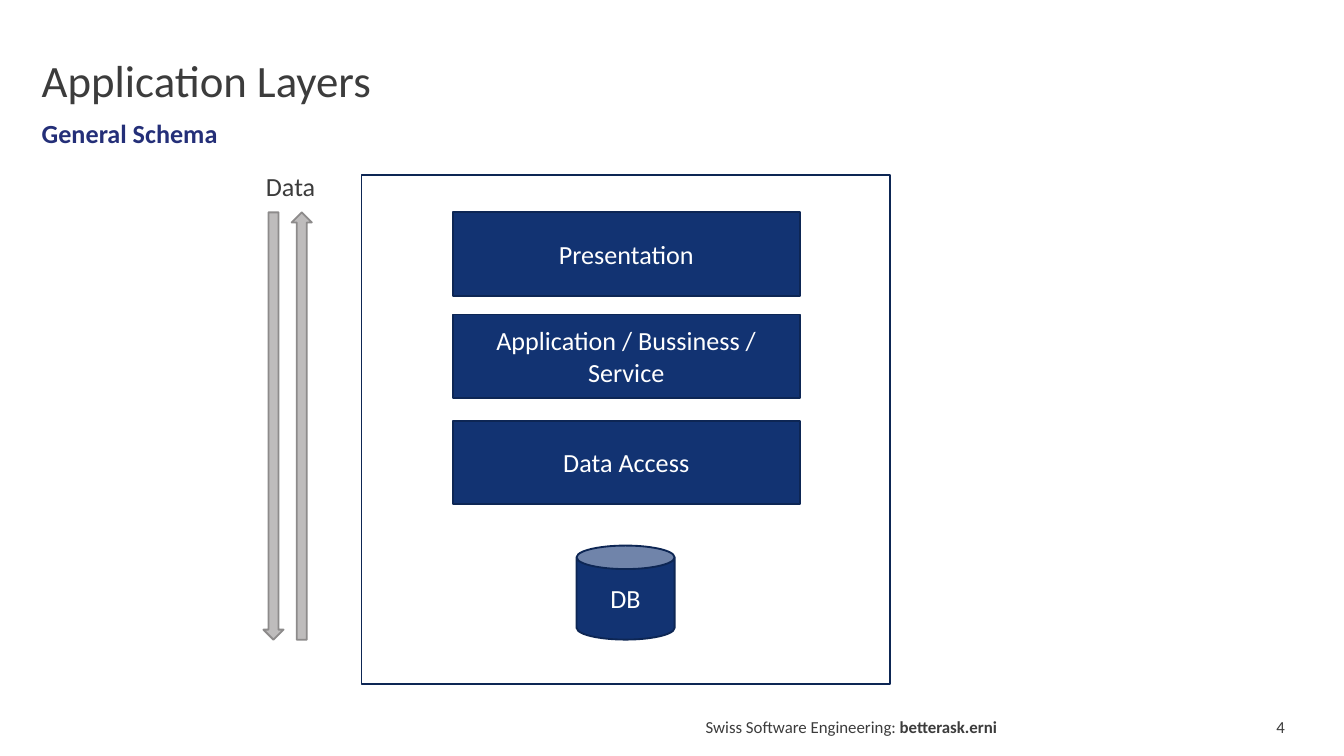
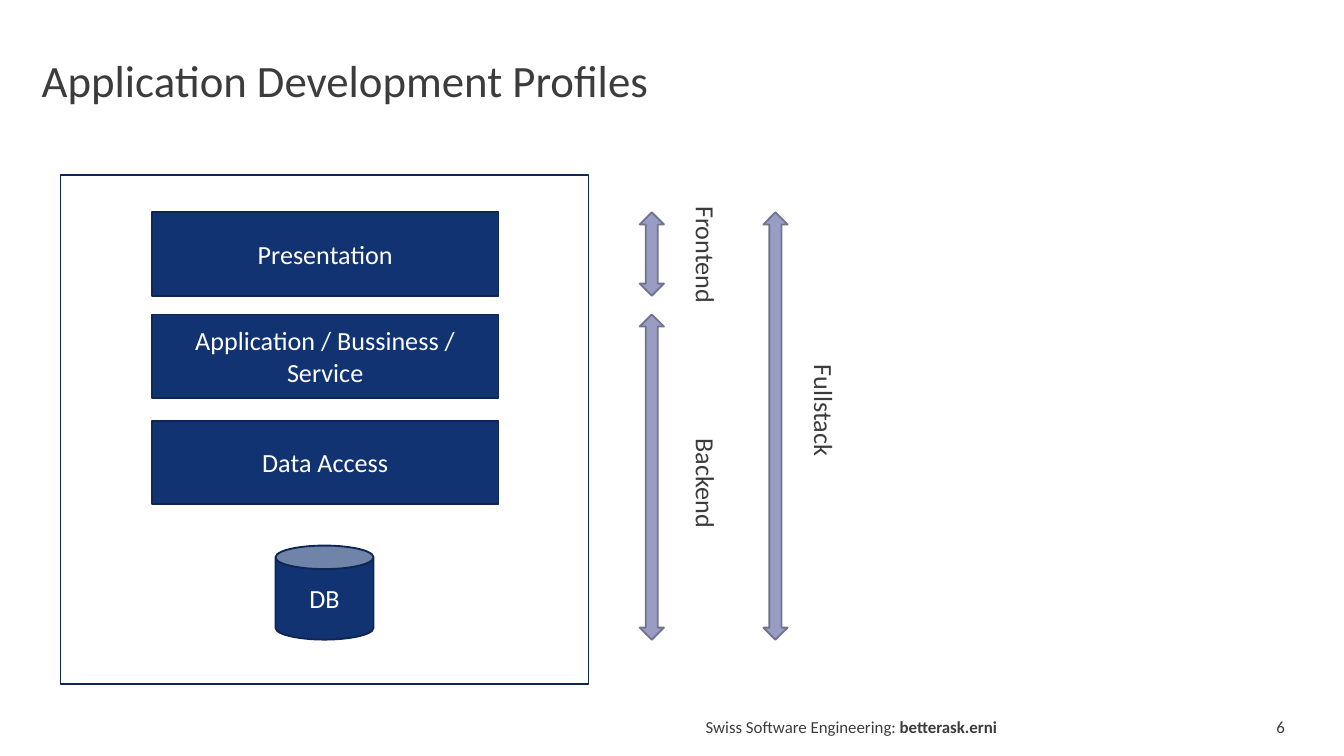
from pptx import Presentation
from pptx.dml.color import RGBColor
from pptx.enum.shapes import MSO_SHAPE
from pptx.enum.text import MSO_ANCHOR, MSO_AUTO_SIZE, PP_ALIGN
from pptx.util import Inches, Pt

RECT, CAN = MSO_SHAPE.RECTANGLE, MSO_SHAPE.CAN
DOWN, LEFT_RIGHT = MSO_SHAPE.DOWN_ARROW, MSO_SHAPE.LEFT_RIGHT_ARROW
LEFT, CENTER, RIGHT = PP_ALIGN.LEFT, PP_ALIGN.CENTER, PP_ALIGN.RIGHT
TOP, MIDDLE = MSO_ANCHOR.TOP, MSO_ANCHOR.MIDDLE
FIXED, GROW = MSO_AUTO_SIZE.NONE, MSO_AUTO_SIZE.SHAPE_TO_FIT_TEXT

FONT = "Calibri"
TEXT, ACCENT, WHITE = "3C3C3C", "242F78", "FFFFFF"
NAVY, NAVY_LINE = "123372", "0D2654"
GRAY, GRAY_LINE = "BEBCBC", "8D8B8B"
LILAC, LILAC_LINE = "999DC3", "717490"

SLIDE_W = 10
SLIDE_H = SLIDE_W * 9 / 16
TIGHT = (0.04, 0.02)
STACK_TOP, STACK_BOTTOM = 1.58, 4.76
LAYERS = [("Presentation", STACK_TOP),
          ("Application / Bussiness / Service", 2.34),
          ("Data Access", 3.13)]
LAYER_W, LAYER_H = 2.58, 0.62
FRAME_TOP, FRAME_W, FRAME_H = 1.3, 3.93, 3.79
ARROW_W = 0.18


def rgb(color):
    return RGBColor.from_string(color)


def inches(box):
    return [Inches(v) for v in box]


def write(sp, *runs, size=14, color=TEXT, bold=False, align=LEFT, anchor=MIDDLE,
          inset=(0.1, 0.05), spacing=None, wrap=True, fit=FIXED):
    """Fill a shape with one paragraph; each run is a text or a (text, bold) pair."""
    tf = sp.text_frame
    tf.auto_size = fit
    tf.word_wrap = wrap
    tf.vertical_anchor = anchor
    tf.margin_left = tf.margin_right = Inches(inset[0])
    tf.margin_top = tf.margin_bottom = Inches(inset[1])
    p = tf.paragraphs[0]
    p.alignment = align
    if spacing:
        p.line_spacing = spacing
    for run in runs:
        text, run_bold = (run, bold) if isinstance(run, str) else run
        r = p.add_run()
        r.text = text
        r.font.name, r.font.size, r.font.bold = FONT, Pt(size), run_bold
        r.font.color.rgb = rgb(color)


def add_text(slide, box, *runs, **fmt):
    sp = slide.shapes.add_textbox(*inches(box))
    write(sp, *runs, **fmt)
    return sp


def add_shape(slide, kind, box, fill, line, rotation=0):
    sp = slide.shapes.add_shape(kind, *inches(box))
    sp.shadow.inherit = False
    sp.rotation = rotation
    if fill:
        sp.fill.solid()
        sp.fill.fore_color.rgb = rgb(fill)
    else:
        sp.fill.background()
    sp.line.color.rgb = rgb(line)
    sp.line.width = Pt(1)
    return sp


def add_base(prs, title, number):
    """Add a slide with its title, footer and page number."""
    slide = prs.slides.add_slide(prs.slide_layouts[5])
    sp = slide.shapes.title
    sp.left, sp.top, sp.width, sp.height = inches((0.27, 0.46, 9.35, 0.32))
    write(sp, title, size=24, inset=TIGHT, spacing=0.9)
    add_text(slide, (5.21, 5.29, 2.29, 0.24), "Swiss Software Engineering: ",
             ("betterask.erni", True), size=9, inset=TIGHT)
    add_text(slide, (8.72, 5.28, 0.88, 0.25), str(number), size=9, align=RIGHT, inset=TIGHT)
    return slide


def add_layer_stack(slide, left):
    """Draw the framed layers above their database, from the frame's left edge."""
    add_shape(slide, RECT, (left, FRAME_TOP, FRAME_W, FRAME_H), None, NAVY_LINE)
    parts = [(RECT, name, (left + 0.68, top, LAYER_W, LAYER_H)) for name, top in LAYERS]
    parts.append((CAN, "DB", (left + 1.6, 4.06, 0.73, 0.7)))
    for kind, name, box in parts:
        sp = add_shape(slide, kind, box, NAVY, NAVY_LINE)
        write(sp, name, color=WHITE, align=CENTER)


def add_data_flow(slide, left):
    add_text(slide, (left, 1.22, 0.57, 0.34), "Data", anchor=TOP, wrap=False, fit=GROW)
    for offset, rotation in ((0.08, 0), (0.29, 180)):
        box = (left + offset, STACK_TOP, 0.15, STACK_BOTTOM - STACK_TOP)
        add_shape(slide, DOWN, box, GRAY, GRAY_LINE, rotation)


def add_profile(slide, name, center, top, bottom, label_box):
    """Mark a span of layers with a double arrow and a sideways label."""
    length = bottom - top
    box = (center - length / 2, (top + bottom - ARROW_W) / 2, length, ARROW_W)
    add_shape(slide, LEFT_RIGHT, box, LILAC, LILAC_LINE, rotation=270)
    sp = add_text(slide, label_box, name, align=CENTER, anchor=TOP, fit=GROW)
    sp.rotation = 180
    sp.text_frame._txBody.bodyPr.set("vert", "vert270")


def build_layers(prs):
    slide = add_base(prs, "Application Layers", 4)
    add_text(slide, (0.27, 0.9, 9.35, 0.21), "General Schema",
             color=ACCENT, bold=True, inset=TIGHT, spacing=0.9)
    add_layer_stack(slide, 2.69)
    add_data_flow(slide, 1.88)


def build_profiles(prs):
    slide = add_base(prs, "Application Development Profiles", 6)
    add_layer_stack(slide, 0.45)
    add_profile(slide, "Frontend", 4.85, STACK_TOP, STACK_TOP + LAYER_H, (4.98, 1.43, 0.44, 0.93))
    add_profile(slide, "Backend", 4.85, LAYERS[1][1], STACK_BOTTOM, (4.98, 3.13, 0.44, 0.93))
    add_profile(slide, "Fullstack", 5.77, STACK_TOP, STACK_BOTTOM, (5.86, 2.2, 0.44, 1.71))


def main():
    prs = Presentation()
    prs.slide_width, prs.slide_height = Inches(SLIDE_W), Inches(SLIDE_H)
    build_layers(prs)
    build_profiles(prs)
    prs.save("out.pptx")


if __name__ == "__main__":
    main()
